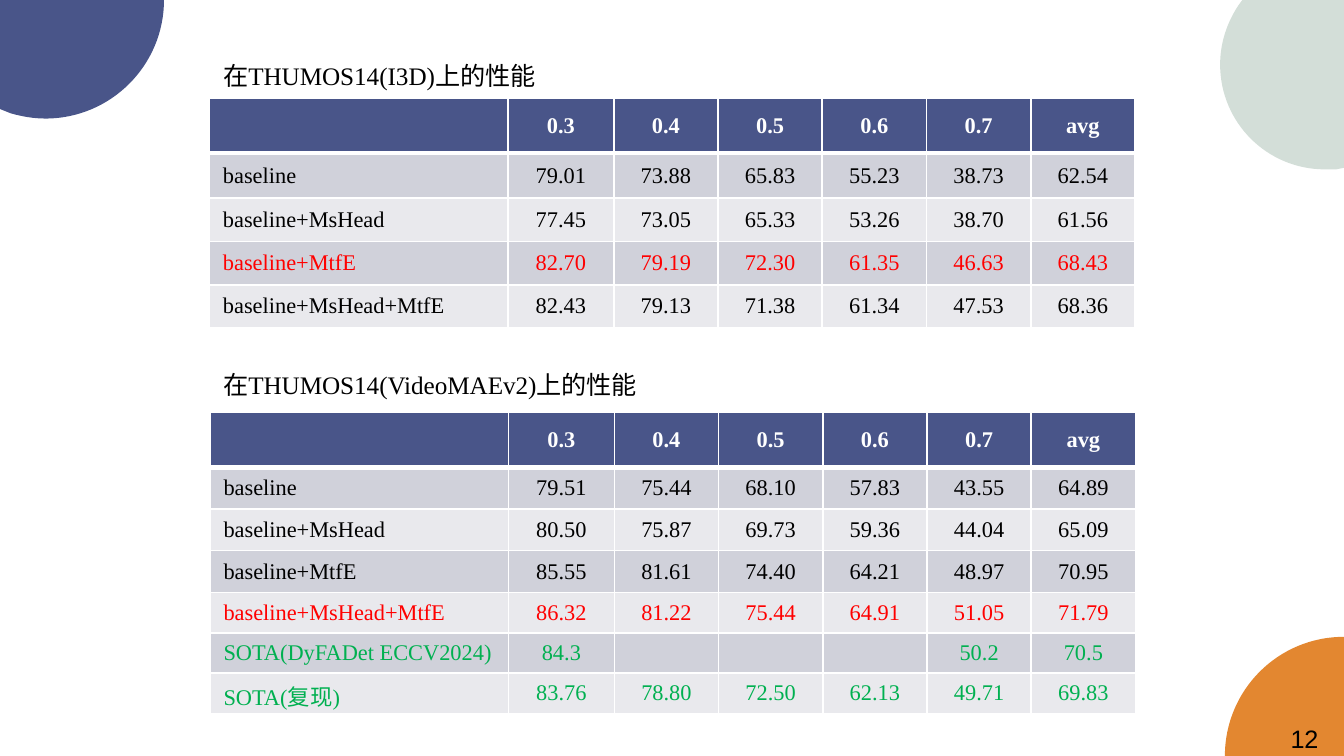
from lxml import etree
from pptx import Presentation
from pptx import util as u
from pptx.dml.color import RGBColor
from pptx.enum import text
from pptx.oxml.ns import qn

COLORS = {
    "blue": "495589", "orange": "E38730", "sage": "D3DED8",
    "band_dark": "D0D1DA", "band_light": "E9E9ED",
    "white": "FFFFFF", "black": "000000", "red": "FF0000", "green": "00B050",
}
COLUMN_WIDTHS = [5.64, 2.0] + [1.97] * 5
THRESHOLDS = ["", "0.3", "0.4", "0.5", "0.6", "0.7", "avg"]

I3D_RESULTS = [
    ("black", "baseline", "79.01", "73.88", "65.83", "55.23", "38.73", "62.54"),
    ("black", "baseline+MsHead", "77.45", "73.05", "65.33", "53.26", "38.70", "61.56"),
    ("red", "baseline+MtfE", "82.70", "79.19", "72.30", "61.35", "46.63", "68.43"),
    ("black", "baseline+MsHead+MtfE", "82.43", "79.13", "71.38", "61.34", "47.53", "68.36"),
]
VIDEOMAE_RESULTS = [
    ("black", "baseline", "79.51", "75.44", "68.10", "57.83", "43.55", "64.89"),
    ("black", "baseline+MsHead", "80.50", "75.87", "69.73", "59.36", "44.04", "65.09"),
    ("black", "baseline+MtfE", "85.55", "81.61", "74.40", "64.21", "48.97", "70.95"),
    ("red", "baseline+MsHead+MtfE", "86.32", "81.22", "75.44", "64.91", "51.05", "71.79"),
    ("green", "SOTA(DyFADet ECCV2024)", "84.3", "", "", "", "50.2", "70.5"),
    ("green", "SOTA(复现)", "83.76", "78.80", "72.50", "62.13", "49.71", "69.83"),
]

BLUE_DISC = [
    [(0, 0)], [(3.1, 0)],
    [(3.1, 1.24), (2.09, 2.24), (0.86, 2.24)],
    [(0.63, 2.24), (0.41, 2.2), (0.2, 2.14)],
    [(0, 2.06)],
]
ORANGE_DISC = [
    [(25.4, 12.03)],
    [(24.15, 12.03), (23.15, 13.04), (23.15, 14.28)],
    [(25.4, 14.28)],
]
SAGE_DISC = [
    [(23.48, 0)], [(25.4, 0)], [(25.4, 3.17)], [(25.25, 3.2)],
    [(25.18, 3.2), (25.11, 3.2), (25.04, 3.2)],
    [(23.95, 3.2), (23.06, 2.32), (23.06, 1.22)],
    [(23.06, 0.81), (23.19, 0.43), (23.4, 0.11)],
]


def rgb(name):
    return RGBColor.from_string(COLORS[name])


def write(frame, words, size=12, font="Times New Roman", color="black", bold=False, align=None):
    paragraph = frame.paragraphs[0]
    paragraph.alignment = align
    if not words:
        etree.SubElement(paragraph._p, qn("a:endParaRPr"), sz=str(int(size * 100)))
        return
    run = paragraph.add_run()
    run.text = words
    run.font.size = u.Pt(size)
    run.font.name = font
    run.font.bold = bold
    run.font.color.rgb = rgb(color)


class Deck:
    def __init__(self, width, height):
        self.prs = Presentation()
        self.prs.slide_width, self.prs.slide_height = u.Cm(width), u.Cm(height)
        self.slide = self.prs.slides.add_slide(self.prs.slide_layouts[6])

    def corner_disc(self, segments, color):
        points = [(u.Cm(x), u.Cm(y)) for segment in segments for x, y in segment]
        builder = self.slide.shapes.build_freeform(*points[0])
        builder.add_line_segments(points[1:], close=True)
        disc = builder.convert_to_shape()
        lines = iter(list(disc._element.iter(qn("a:lnTo"))))
        for segment in segments[1:]:
            first, *others = [next(lines) for _ in segment]
            if others:
                first.tag = qn("a:cubicBezTo")
                for line in others:
                    first.append(line[0])
                    line.getparent().remove(line)
        disc.shadow.inherit = False
        disc.fill.solid()
        disc.fill.fore_color.rgb = rgb(color)
        disc.line.fill.background()

    def label(self, words, left, top, width, **style):
        box = self.slide.shapes.add_textbox(u.Cm(left), u.Cm(top), u.Cm(width), u.Cm(0.84))
        box.text_frame.word_wrap = True
        write(box.text_frame, words, size=13.5, **style)

    def border(self, cell, **widths):
        properties = cell._tc.get_or_add_tcPr()
        for side in "LRTB":
            line = etree.SubElement(properties, qn(f"a:ln{side}"), w=str(u.Pt(widths.get(side, 1))))
            fill = etree.SubElement(line, qn("a:solidFill"))
            etree.SubElement(fill, qn("a:srgbClr"), val=COLORS["white"])

    def results_table(self, left, top, heights, results):
        rows = [("white", *THRESHOLDS)] + results
        table = self.slide.shapes.add_table(
            len(rows), len(THRESHOLDS), u.Cm(left), u.Cm(top),
            u.Cm(sum(COLUMN_WIDTHS)), u.Cm(sum(heights))).table
        for column, width in zip(table.columns, COLUMN_WIDTHS):
            column.width = u.Cm(width)
        for r, (color, *values) in enumerate(rows):
            table.rows[r].height = u.Cm(heights[r])
            band = "blue" if r == 0 else "band_dark" if r % 2 else "band_light"
            for c, value in enumerate(values):
                cell = table.cell(r, c)
                self.border(cell, T=3 if r == 1 else 1, B=3 if r == 0 else 1)
                cell.fill.solid()
                cell.fill.fore_color.rgb = rgb(band)
                cell.vertical_anchor = text.MSO_ANCHOR.MIDDLE
                write(cell.text_frame, value, color=color, bold=r == 0,
                      align=text.PP_ALIGN.CENTER if c else None)


def main():
    deck = Deck(25.4, 14.28)
    deck.corner_disc(BLUE_DISC, "blue")
    deck.corner_disc(ORANGE_DISC, "orange")
    deck.corner_disc(SAGE_DISC, "sage")
    deck.results_table(3.96, 1.86, [1.03, 0.85, 0.82, 0.82, 0.81], I3D_RESULTS)
    deck.label("在THUMOS14(I3D)上的性能", 3.97, 1.02, 8.46)
    deck.results_table(3.97, 7.79, [1.04, 0.78, 0.79, 0.79] + [0.69] * 3, VIDEOMAE_RESULTS)
    deck.label("在THUMOS14(VideoMAEv2)上的性能", 3.97, 6.86, 9.14)
    deck.label("12", 24.14, 13.54, 1.14, font="Arial")
    deck.prs.save("out.pptx")


if __name__ == "__main__":
    main()
